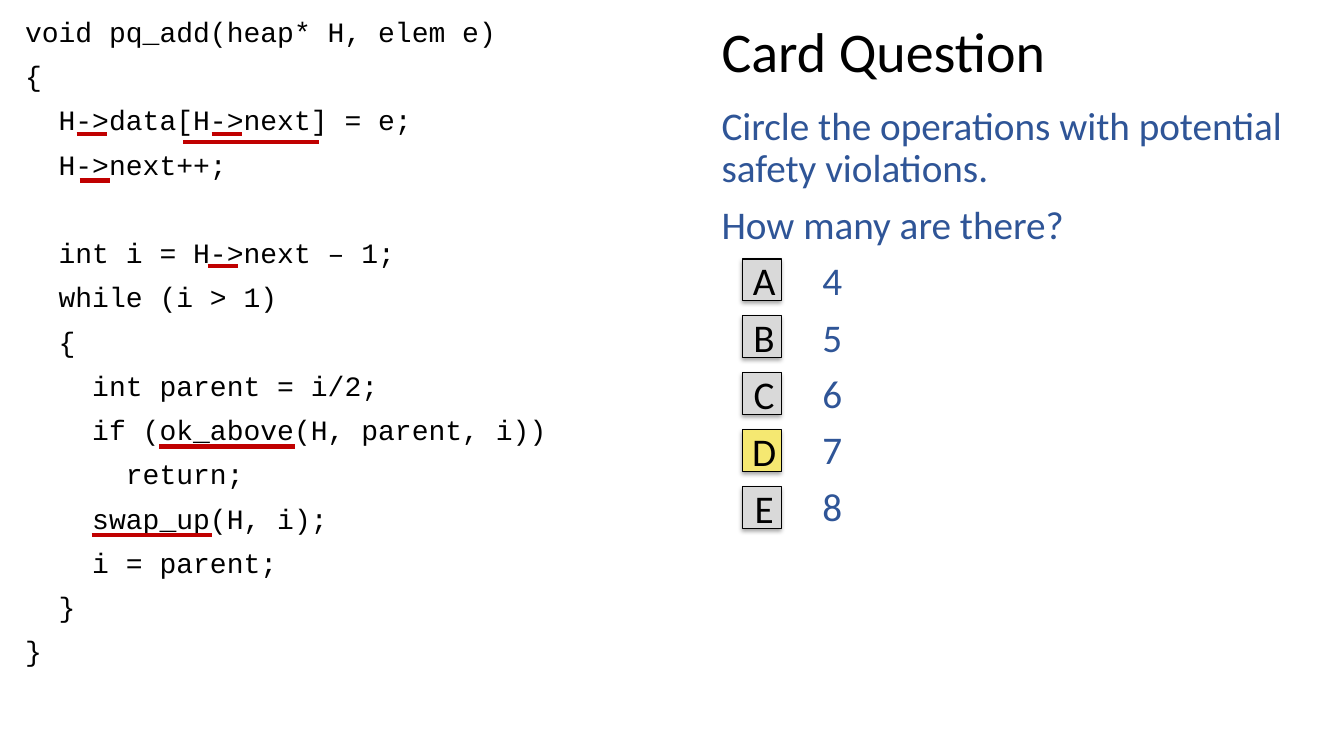
from dataclasses import dataclass

import pptx
import pptx.dml.color
import pptx.enum.dml
import pptx.enum.shapes
import pptx.enum.text
import pptx.oxml
import pptx.oxml.ns
import pptx.util
from pptx.util import Pt


@dataclass(frozen=True)
class Theme:
    sans: str = "Calibri"
    mono: str = "Courier New"
    ink: str = "000000"
    blue: str = "2F5597"
    red: str = "C00000"
    gray: str = "D9D9D9"
    gold: str = "F5E871"
    head: float = 40
    body: float = 28
    code: float = 20


THEME = Theme()
PITCH = 40.7
MARKS = [
    (43.9, 86.4, 21.6),
    (140.4, 86.4, 21.6),
    (120.2, 92.1, 97.2),
    (46.1, 119.5, 21.6),
    (137.5, 180.7, 21.6),
    (103, 309.6, 97.2),
    (54.7, 372.9, 85.7),
]
CODE = """void pq_add(heap* H, elem e)
{
  H->data[H->next] = e;
  H->next++;

  int i = H->next – 1;
  while (i > 1)
  {
    int parent = i/2;
    if (ok_above(H, parent, i))
      return;
    swap_up(H, i);
    i = parent;
  }
}"""


def rgb(code):
    return pptx.dml.color.RGBColor.from_string(code)


def apply(item, form):
    for key, value in form.items():
        setattr(item, key, value)


def stop(para, at):
    para._p.get_or_add_pPr().append(pptx.oxml.parse_xml(
        f'<a:tabLst {pptx.oxml.ns.nsdecls("a")}>'
        f'<a:tab pos="{Pt(at)}" algn="l"/></a:tabLst>'))


def write(frame, lines, name, size, tint, gap=0, **form):
    for num, line in enumerate(lines):
        para = frame.paragraphs[0] if num == 0 else frame.add_paragraph()
        para.text = line
        apply(para, form)
        if num:
            para.space_before = Pt(gap)
        if line.startswith("\t"):
            stop(para, 72)
        apply(para.font, {"name": name, "size": Pt(size)})
        para.font.color.rgb = rgb(tint)


def text(slide, box, lines, *style, anchor="TOP", **form):
    frame = slide.shapes.add_textbox(*map(Pt, box)).text_frame
    apply(frame, {
        "word_wrap": True,
        "vertical_anchor": pptx.enum.text.MSO_ANCHOR[anchor],
    })
    write(frame, lines, *style, line_spacing=0.9, **form)


def shade(shape):
    shape.shadow.inherit = False
    glow = pptx.oxml.parse_xml(
        f'<a:outerShdw {pptx.oxml.ns.nsdecls("a")} blurRad="{Pt(3.1)}" '
        f'dist="{Pt(1.8)}" dir="5400000" rotWithShape="0">'
        '<a:srgbClr val="000000"><a:alpha val="35000"/></a:srgbClr>'
        '</a:outerShdw>')
    shape._element.spPr.find(pptx.oxml.ns.qn("a:effectLst")).append(glow)


def tile(group, box, label, fill):
    shape = group.shapes.add_shape(
        pptx.enum.shapes.MSO_SHAPE.RECTANGLE, *map(Pt, box))
    shade(shape)
    shape.fill.solid()
    shape.fill.fore_color.rgb = rgb(fill)
    shape.line.color.rgb = rgb(THEME.ink)
    shape.line.width = Pt(0.75)
    frame = shape.text_frame
    apply(frame, {
        "margin_left": Pt(3), "margin_right": 0,
        "margin_top": 0, "margin_bottom": 0,
        "word_wrap": False,
        "vertical_anchor": pptx.enum.text.MSO_ANCHOR.MIDDLE,
    })
    write(frame, [label], THEME.sans, THEME.body, THEME.ink,
          alignment=pptx.enum.text.PP_ALIGN.CENTER)


def tiles(slide, box, labels, answer):
    left, top, width, height = box
    group = slide.shapes.add_group_shape()
    for num, label in enumerate(labels):
        fill = THEME.gold if label == answer else THEME.gray
        tile(group, (left, top + num * PITCH, width, height), label, fill)


def mark(slide, left, top, width):
    line = slide.shapes.add_connector(
        pptx.enum.shapes.MSO_CONNECTOR.STRAIGHT,
        Pt(left), Pt(top), Pt(left + width), Pt(top))
    line.line.color.rgb = rgb(THEME.red)
    line.line.width = Pt(3)
    props = line._element.spPr
    props.append(props.makeelement(pptx.oxml.ns.qn("a:effectLst"), {}))


def code(slide, box):
    left, top = box[:2]
    text(slide, box, CODE.split("\n"), THEME.mono, THEME.code, THEME.ink,
         gap=10)
    for over, down, width in MARKS:
        mark(slide, left + over, top + down, width)


def quiz(slide, box):
    left, top, width, height = box
    text(slide, (left, top, 416.9, 49.7), ["Card Question"],
         THEME.sans, THEME.head, THEME.ink, anchor="MIDDLE")
    asks = [
        "Circle the operations with potential safety violations.",
        "How many are there?",
    ]
    picks = [f"\t{num}" for num in range(4, 9)]
    text(slide, (left, top + 59, width, height - 59), asks + picks,
         THEME.sans, THEME.body, THEME.blue, gap=10)
    tiles(slide, (left + 22.3, top + 171.3, 27.4, 29.5), "ABCDE", "D")


def main():
    deck = pptx.Presentation()
    apply(deck, {"slide_width": Pt(960), "slide_height": Pt(540)})
    slide = deck.slides.add_slide(deck.slide_layouts[6])
    quiz(slide, (508.3, 13.7, 440.6, 147.6))
    code(slide, (10.8, 9.4, 496.8, 521.3))
    deck.save("out.pptx")


if __name__ == "__main__":
    main()
